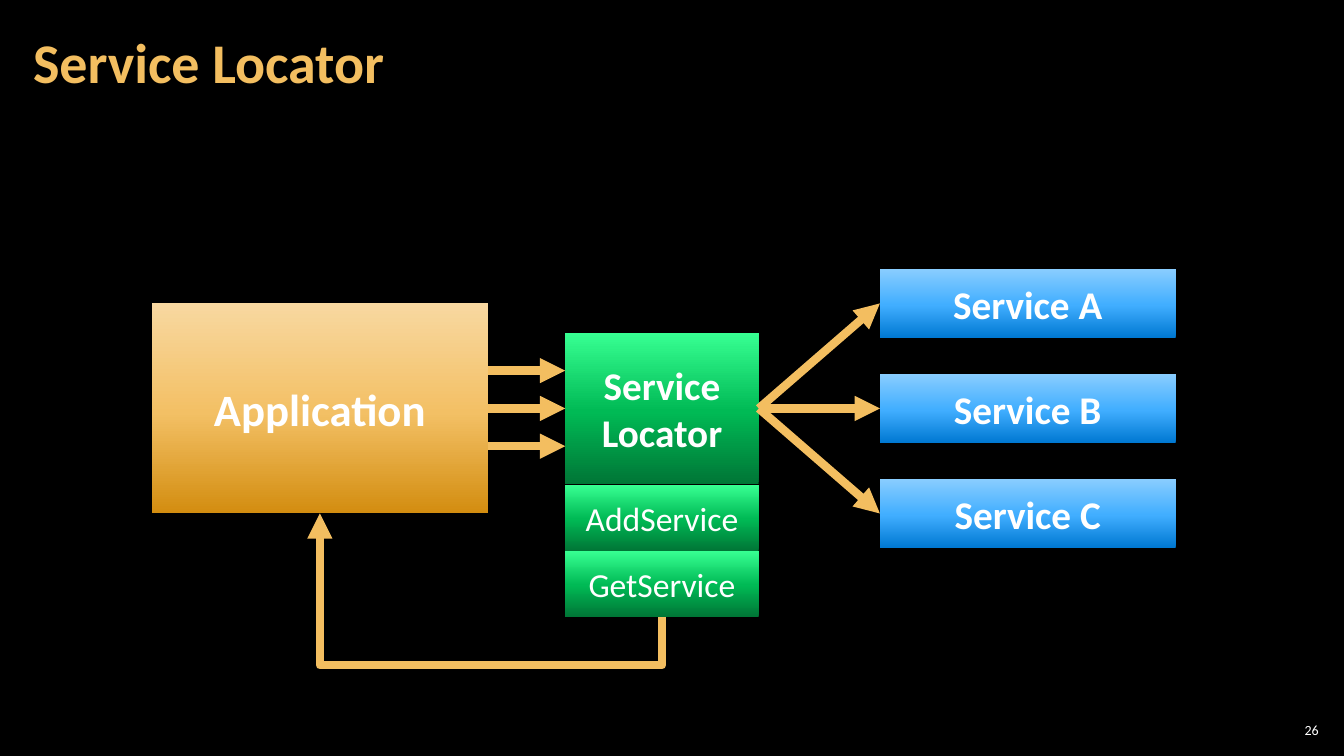
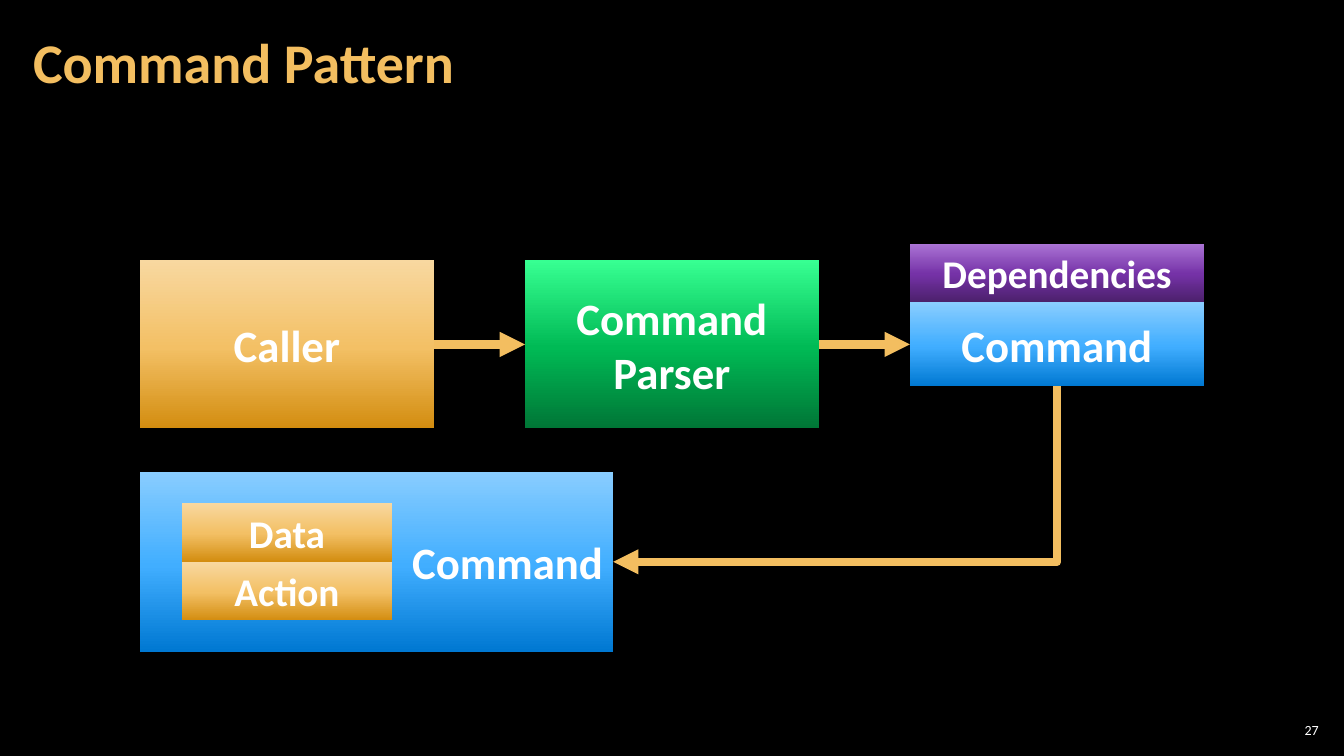
from copy import deepcopy

from lxml.etree import SubElement
from pptx import Presentation
from pptx.dml.color import RGBColor
from pptx.enum.shapes import MSO_CONNECTOR as Connector, MSO_SHAPE as Shape
from pptx.enum.text import MSO_ANCHOR as Anchor, PP_ALIGN as Align
from pptx.oxml.ns import qn
from pptx.util import Pt

COLORS = {"background": "000000", "text": "FFFFFF", "accent": "F3BE60"}

# Gradient stops, from the bottom edge to the top edge
GRADIENTS = {
    "amber": ("D38D10", "F3C065", "F8D8A0"),
    "green": ("007636", "00BA55", "37FF92"),
    "blue": ("0078D2", "41AEFF", "89CDFF"),
    "purple": ("4B206B", "7532A7", "AB74D5"),
}
STOPS = (0, 0.48, 1)
FONT = "Calibri"
LEFT, RIGHT = 1, 3  # connection sites of a rectangle


def rgb(name):
    return RGBColor.from_string(COLORS[name])


class Deck:
    """Holds the shared style and the slide being built."""

    def __init__(self):
        self.prs = Presentation()
        self.prs.slide_width, self.prs.slide_height = Pt(960), Pt(540)
        self.slide = None

    def new_slide(self, title, number):
        self.slide = self.prs.slides.add_slide(self.prs.slide_layouts[6])
        fill = self.slide.background.fill
        fill.solid()
        fill.fore_color.rgb = rgb("background")
        self.label(str(number), (911, 514, 34, 15), 10, align=Align.RIGHT)
        heading = self.label(title, (15, 3, 754, 87), 40, "accent", True, inset=8.6)
        heading.line_spacing = 0.9

    def set_text(self, shape, text, size, color="text", bold=False, align=Align.CENTER):
        frame = shape.text_frame
        frame.text = text
        frame.word_wrap = True
        frame.vertical_anchor = Anchor.MIDDLE
        paragraph = frame.paragraphs[0]
        paragraph.alignment = align
        font = paragraph.runs[0].font
        font.name, font.size, font.bold = FONT, Pt(size), bold
        font.color.rgb = rgb(color)
        return paragraph

    def label(self, text, area, size, color="text", bold=False, align=Align.LEFT, inset=3):
        holder = self.slide.shapes.add_textbox(*map(Pt, area))
        frame = holder.text_frame
        frame.margin_left = frame.margin_right = Pt(inset)
        frame.margin_top = frame.margin_bottom = Pt(3)
        return self.set_text(holder, text, size, color, bold, align)

    def box(self, text, area, gradient, size=28, bold=True, align=Align.CENTER):
        shape = self.slide.shapes.add_shape(Shape.RECTANGLE, *map(Pt, area))
        shape.shadow.inherit = False
        shape.line.fill.background()
        shape.fill.gradient()
        shape.fill.gradient_angle = 90
        stop_list = shape._element.spPr.find(".//" + qn("a:gsLst"))
        stop_list.append(deepcopy(stop_list[0]))
        for stop, place, color in zip(shape.fill.gradient_stops, STOPS, GRADIENTS[gradient]):
            stop.position = place
            stop.color.rgb = RGBColor.from_string(color)
        self.set_text(shape, text, size, bold=bold, align=align)
        return shape

    def arrow(self, start=(0, 0), end=(0, 0), kind=Connector.STRAIGHT):
        line = self.slide.shapes.add_connector(kind, *map(Pt, (*start, *end)))
        line.line.color.rgb = rgb("accent")
        line.line.width = Pt(6)
        SubElement(line.line._get_or_add_ln(), qn("a:tailEnd"), type="triangle")
        SubElement(line._element.spPr, qn("a:effectLst"))
        return line

    def link(self, source, target):
        """Arrow from the right side of one box to the left side of another."""
        line = self.arrow()
        line.begin_connect(source, RIGHT)
        line.end_connect(target, LEFT)

    def elbow(self, start, end, drop=None):
        """Bent arrow leaving downwards; a drop adds a second bend below the start."""
        (x0, y0), (x1, y1) = start, end
        across, down = abs(x1 - x0), y1 - y0
        line = self.arrow(start, end, Connector.ELBOW)
        # The preset runs sideways, so its frame is turned by a quarter
        line.width, line.height = Pt(abs(down)), Pt(across)
        line.left = Pt((x0 + x1 - abs(down)) / 2)
        line.top = Pt((y0 + y1 - across) / 2)
        frame = line._element.spPr.find(qn("a:xfrm"))
        frame.set("rot", str(90 * 60000))
        frame.set("flipH", str(int(down < 0)))
        frame.set("flipV", "0")
        geometry = line._element.spPr.find(qn("a:prstGeom"))
        if drop is None:
            geometry.set("prst", "bentConnector2")
        else:
            guides = geometry.find(qn("a:avLst"))
            if guides is None:
                guides = SubElement(geometry, qn("a:avLst"))
            SubElement(guides, qn("a:gd"), name="adj1", fmla=f"val {round(drop / down * 100000)}")


def service_locator(deck):
    deck.new_slide("Service Locator", 26)
    middle = 291.75

    # Application and locator
    application = deck.box("Application", (108.5, middle - 75, 240, 150), "amber", 32)
    locator_x, locator_width = 403.75, 138.25
    locator = deck.box("Service Locator", (locator_x, middle - 54, locator_width, 108), "green")

    # Services
    for row, letter in enumerate("ABC"):
        service = deck.box(f"Service {letter}", (628.5, 192 + 75 * row, 211.25, 49.5), "blue")
        deck.link(locator, service)

    # Calls to the locator
    deck.link(application, locator)
    for offset in (-27, 27):
        deck.arrow((348.5, middle + offset), (locator_x, middle + offset))

    # Locator methods
    for row, method in enumerate(("AddService", "GetService")):
        deck.box(method, (locator_x, 346.25 + 47.2 * row, locator_width, 47.2),
                 "green", 24, bold=False)

    # Returned service
    deck.elbow((locator_x + locator_width / 2, 440.65), (228.5, middle + 75), drop=34.5)


def command_pattern(deck):
    deck.new_slide("Command Pattern", 27)
    left, pitch, width = 100, 275, 210
    command_x = left + 2 * pitch

    # Top row, from caller to command
    deck.box("Dependencies", (command_x, 174, width, 42), "purple")
    caller = deck.box("Caller", (left, 186, width, 120), "amber", 32)
    parser = deck.box("Command Parser", (left + pitch, 186, width, 120), "green", 32)
    command = deck.box("Command", (command_x, 216, width, 60), "blue", 32)
    deck.link(caller, parser)
    deck.link(parser, command)

    # Command in detail
    deck.box("Command", (left, 337, 338, 128.5), "blue", 32, align=Align.RIGHT)
    for row, part in enumerate(("Data", "Action")):
        deck.box(part, (130, 359.25 + 42 * row, 150, 42), "amber")
    deck.elbow((command_x + width / 2, 276), (left + 338, 401.25))


def main():
    deck = Deck()
    service_locator(deck)
    command_pattern(deck)
    deck.prs.save("out.pptx")


if __name__ == "__main__":
    main()
